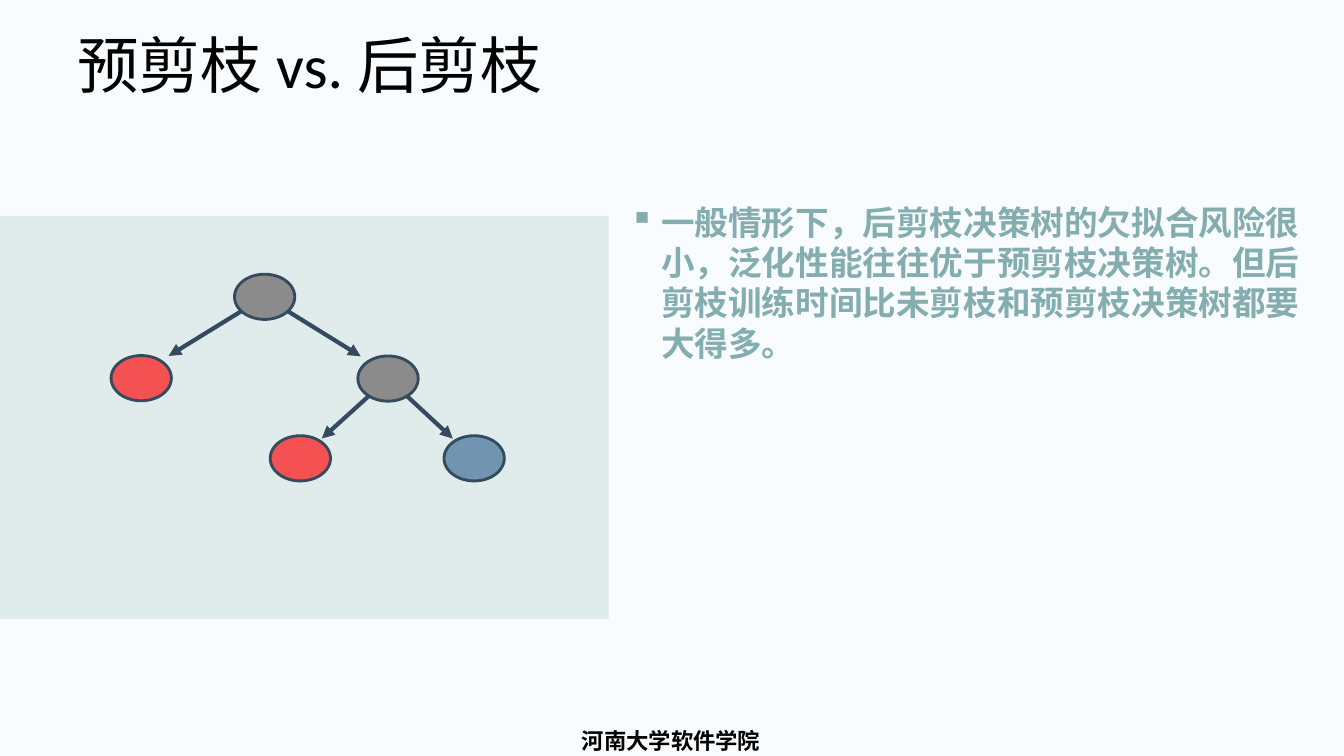
from lxml import etree
from pptx import Presentation
from pptx.dml.color import RGBColor
from pptx.enum.shapes import MSO_CONNECTOR, MSO_SHAPE
from pptx.enum.text import PP_ALIGN
from pptx.oxml.ns import qn
from pptx.util import Cm, Pt

RECTANGLE, OVAL = MSO_SHAPE.RECTANGLE, MSO_SHAPE.OVAL
STRAIGHT = MSO_CONNECTOR.STRAIGHT
LEFT, CENTER = PP_ALIGN.LEFT, PP_ALIGN.CENTER

BACKGROUND = RGBColor(0xF8, 0xFC, 0xFE)
PANEL = RGBColor(0xE0, 0xEB, 0xEB)
BLACK = RGBColor(0, 0, 0)
TEAL = RGBColor(0x84, 0xAD, 0xAF)
NAVY = RGBColor(0x34, 0x4B, 0x5E)
GRAY = RGBColor(0x8B, 0x8B, 0x8B)
RED = RGBColor(0xFF, 0, 0)
BLUE = RGBColor(0x71, 0x95, 0xB0)

# Node name: centre x, centre y (cm), fill, opacity in percent
NODES = {
    "root": (6.67, 7.48, GRAY, 100),
    "left leaf": (3.56, 9.53, RED, 100 - 35),
    "inner": (9.78, 9.54, GRAY, 100),
    "inner right leaf": (11.95, 11.55, BLUE, 100),
    "inner left leaf": (7.57, 11.55, RED, 100 - 35),
}
# Parent, child, distance from the child's centre to the arrow tip (cm)
EDGES = [
    ("root", "left leaf", 0.69, 0.56),
    ("root", "inner", -0.69, 0.56),
    ("inner", "inner left leaf", 0.54, 0.5),
    ("inner", "inner right leaf", -0.54, 0.5),
]


class SlideBuilder:
    node_width, node_height = 1.52, 1.14
    outline_width, arrow_width = Pt(2.04), Pt(3)

    def __init__(self, slide):
        self.slide = slide
        slide.background.fill.solid()
        slide.background.fill.fore_color.rgb = BACKGROUND

    def text(self, content, box, font, frame_format=None, paragraph_format=None, bullet=None):
        shape = self.slide.shapes.add_textbox(*map(Cm, box))
        frame = shape.text_frame
        paragraph = frame.paragraphs[0]
        paragraph.text = content
        if bullet:
            properties = paragraph._p.get_or_add_pPr()
            properties.set("marL", str(Cm(0.84)))
            properties.set("indent", str(-Cm(0.79)))
            etree.SubElement(properties, qn("a:buChar")).set("char", bullet)
        color = font.pop("color")
        targets = (
            (frame, {"word_wrap": True, **(frame_format or {})}),
            (paragraph, paragraph_format or {}),
            (paragraph.runs[0].font, font),
        )
        for target, values in targets:
            for name, value in values.items():
                setattr(target, name, value)
        paragraph.runs[0].font.color.rgb = color

    def shape(self, kind, box, fill, outline=None, opacity=100):
        shape = self.slide.shapes.add_shape(kind, *map(Cm, box))
        shape.shadow.inherit = False
        shape.fill.solid()
        shape.fill.fore_color.rgb = fill
        if opacity < 100:
            color = shape._element.spPr.find(qn("a:solidFill"))[0]
            etree.SubElement(color, qn("a:alpha")).set("val", str(opacity * 1000))
        if outline is None:
            shape.line.fill.background()
        else:
            shape.line.color.rgb = outline
            shape.line.width = self.outline_width

    def node(self, x, y, fill, opacity):
        width, height = self.node_width, self.node_height
        self.shape(OVAL, (x - width / 2, y - height / 2, width, height), fill, NAVY, opacity)

    def arrow(self, start, end):
        connector = self.slide.shapes.add_connector(STRAIGHT, *map(Cm, (*start, *end)))
        connector.line.color.rgb = NAVY
        connector.line.width = self.arrow_width
        properties = connector._element.spPr
        etree.SubElement(properties.find(qn("a:ln")), qn("a:tailEnd")).set("type", "triangle")
        etree.SubElement(properties, qn("a:effectLst"))


def main():
    presentation = Presentation()
    presentation.slide_width, presentation.slide_height = Cm(33.87), Cm(19.05)
    builder = SlideBuilder(presentation.slides.add_slide(presentation.slide_layouts[6]))

    builder.text(
        "河南大学软件学院", (12.52, 18.21, 8.79, 0.84),
        {"name": "DejaVu Sans", "size": Pt(16), "bold": True, "color": BLACK},
        paragraph_format={"alignment": CENTER},
    )
    builder.shape(RECTANGLE, (0, 5.44, 15.34, 10.16), PANEL)
    builder.text(
        "一般情形下，后剪枝决策树的欠拟合风险很小，泛化性能往往优于预剪枝决策树。"
        "但后剪枝训练时间比未剪枝和预剪枝决策树都要大得多。",
        (15.82, 5.05, 17.37, 4.14),
        {"name": "Karla", "size": Pt(24), "bold": True, "color": TEAL},
        {"margin_left": 0, "margin_top": Cm(0.03), "margin_right": 0, "margin_bottom": 0},
        {"alignment": LEFT},
        bullet="▪",
    )
    builder.text(
        "预剪枝 vs. 后剪枝", (1.7, 0.76, 30.48, 3.18),
        {"name": "Calibri", "size": Pt(44), "color": BLACK},
        paragraph_format={"line_spacing": 0.9},
    )
    for parent, child, tip_x, tip_y in EDGES:
        child_x, child_y = NODES[child][:2]
        builder.arrow(NODES[parent][:2], (child_x + tip_x, child_y - tip_y))
    for node in NODES.values():
        builder.node(*node)

    presentation.save("out.pptx")


if __name__ == "__main__":
    main()
